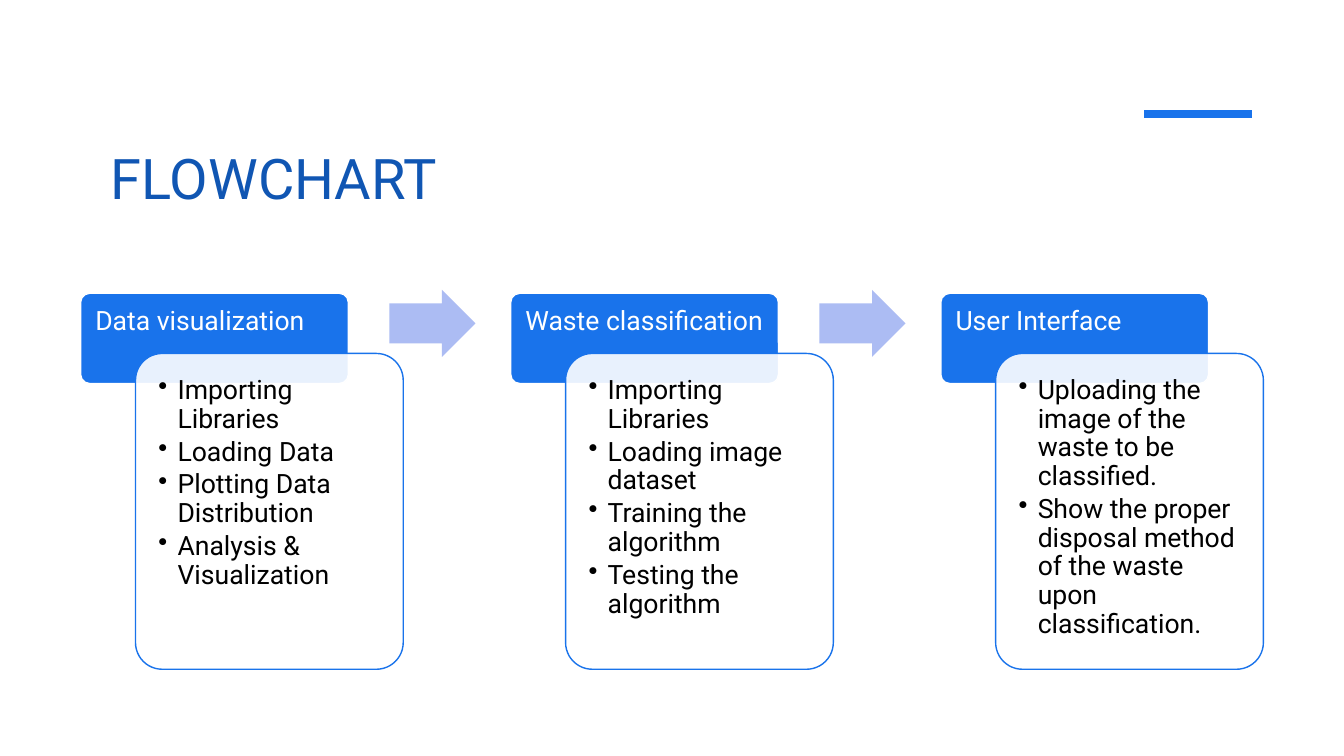
from typing import NamedTuple

from lxml.etree import SubElement
from pptx import Presentation
from pptx.dml.color import RGBColor
from pptx.enum.shapes import MSO_CONNECTOR, MSO_SHAPE as Preset
from pptx.enum.text import MSO_ANCHOR as Anchor, PP_ALIGN as Align
from pptx.oxml.ns import qn
from pptx.util import Inches, Pt

BLUE, DARK_BLUE, PALE_BLUE = "1973EB", "1056B3", "ACBCF3"
WHITE, BLACK = "FFFFFF", "000000"
BULLET_INDENT = Inches(0.19)
STEP_PITCH = 32  # percent of the slide width

STEPS = [
    ("Data visualization",
     ["Importing Libraries", "Loading Data", "Plotting Data Distribution",
      "Analysis & Visualization"]),
    ("Waste classification",
     ["Importing Libraries", "Loading image dataset", "Training the algorithm",
      "Testing the algorithm"]),
    ("User Interface",
     ["Uploading the image of the waste to be classified.",
      "Show the proper disposal method of the waste upon classification."]),
]


class Box(NamedTuple):
    left: int
    top: int
    width: int
    height: int

    def inner(self, x, y, width, height):
        """Return an inner box given in percent of this one."""
        return Box(int(self.left + self.width * x / 100),
                   int(self.top + self.height * y / 100),
                   int(self.width * width / 100),
                   int(self.height * height / 100))


def color(value):
    return RGBColor.from_string(value)


def add_preset(page, preset, box, fill, line=None, adjustments=(0.1,)):
    shape = page.shapes.add_shape(preset, *box)
    shape.shadow.inherit = False
    for index, value in enumerate(adjustments):
        shape.adjustments[index] = value
    shape.fill.solid()
    shape.fill.fore_color.rgb = color(fill)
    if line:
        shape.line.color.rgb = color(line)
        shape.line.width = Pt(1)
    else:
        shape.line.fill.background()
    return shape


def set_opacity(shape, percent):
    properties = shape._element.spPr
    fill_color = properties.find(f"{qn('a:solidFill')}/{qn('a:srgbClr')}")
    SubElement(fill_color, qn("a:alpha")).set("val", str(percent * 1000))


def write(shape, lines, size, ink, anchor=Anchor.TOP, inset=None):
    frame = shape.text_frame
    frame.word_wrap = True
    frame.vertical_anchor = anchor
    if inset:
        frame.margin_left = frame.margin_top = Inches(inset)
        frame.margin_right = frame.margin_bottom = Inches(0.08)
    frame.text = "\n".join(lines)
    for para in frame.paragraphs:
        para.alignment = Align.LEFT
        for span in para.runs:
            span.font.name = "Roboto"
            span.font.size = Pt(size)
            span.font.color.rgb = color(ink)
    return frame.paragraphs


def add_bullet(para):
    properties = para._p.get_or_add_pPr()
    properties.set("marL", str(BULLET_INDENT))
    properties.set("indent", str(-BULLET_INDENT))
    SubElement(properties, qn("a:buChar")).set("char", "•")


def draw_title(page, box):
    title = page.shapes.add_textbox(*box)
    write(title, ["FLOWCHART"], 40, DARK_BLUE, Anchor.BOTTOM)


def draw_accent(page, box):
    accent = page.shapes.add_connector(
        MSO_CONNECTOR.STRAIGHT, box.left, box.top, box.left + box.width, box.top)
    accent.line.color.rgb = color(BLUE)
    accent.line.width = Pt(6)
    SubElement(accent._element.spPr, qn("a:effectLst"))


def draw_step(page, box, heading, tasks, has_next):
    header = add_preset(page, Preset.ROUNDED_RECTANGLE, box.inner(0, 0, 83, 24), BLUE, WHITE)
    for para in write(header, [heading], 19, WHITE, inset=0.12):
        para.line_spacing = 0.9

    card = add_preset(page, Preset.ROUNDED_RECTANGLE, box.inner(17, 16, 83, 84), WHITE, BLUE)
    set_opacity(card, 90)
    paras = write(card, tasks, 19, BLACK, inset=0.15)
    card.text_frame.margin_right = Inches(0.15)
    for para in paras:
        para.line_spacing = 0.9
        para.space_after = Pt(3)
        add_bullet(para)

    if has_next:
        add_preset(page, Preset.RIGHT_ARROW, box.inner(95.7, -0.9, 26.7, 17.8),
                   PALE_BLUE, adjustments=(0.6, 0.5))


def draw_flowchart(page, area):
    draw_accent(page, area.inner(85.13, 15.07, 8.05, 0))
    for index, (heading, tasks) in enumerate(STEPS):
        box = area.inner(6 + index * STEP_PITCH, 38.8, 24, 49.73)
        draw_step(page, box, heading, tasks, index < len(STEPS) - 1)
    draw_title(page, area.inner(7.5, 8.27, 76.2, 20.27))


def main():
    deck = Presentation()
    deck.slide_width, deck.slide_height = Inches(13.33), Inches(7.5)
    page = deck.slides.add_slide(deck.slide_layouts[6])
    draw_flowchart(page, Box(0, 0, deck.slide_width, deck.slide_height))
    deck.save("out.pptx")


if __name__ == "__main__":
    main()
